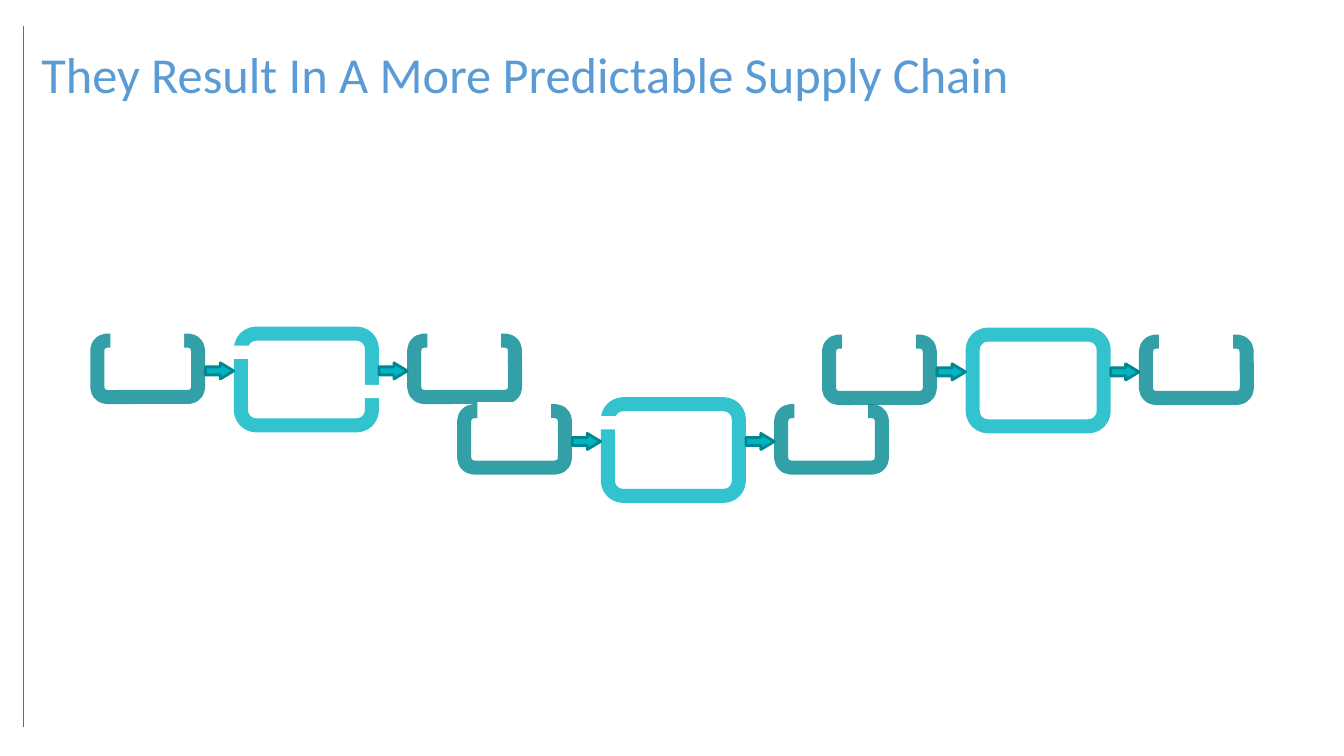
from lxml import etree
from pptx import Presentation
from pptx.dml.color import RGBColor
from pptx.enum.shapes import MSO_CONNECTOR, MSO_SHAPE
from pptx.enum.text import MSO_ANCHOR
from pptx.oxml.ns import qn
from pptx.util import Pt

ROUND = MSO_SHAPE.ROUNDED_RECTANGLE
RECT = MSO_SHAPE.RECTANGLE
ARROW = MSO_SHAPE.RIGHT_ARROW
LINE = MSO_CONNECTOR.STRAIGHT
MIDDLE = MSO_ANCHOR.MIDDLE

WHITE = RGBColor(0xFF, 0xFF, 0xFF)
AQUA = RGBColor(0x00, 0xB4, 0xC2)
TEAL = RGBColor(0x00, 0x88, 0x92)
BLUE = RGBColor(0x5B, 0x9B, 0xD5)
GRAY = RGBColor(0x6B, 0x6B, 0x6B)

deck = Presentation()
deck.slide_width, deck.slide_height = Pt(960), Pt(540)
slide = deck.slides.add_slide(deck.slide_layouts[6])


def add(kind, left, top, width, height, fill=None, edge=None, weight=0):
    shape = slide.shapes.add_shape(kind, Pt(left), Pt(top), Pt(width), Pt(height))
    shape.shadow.inherit = False
    if fill is None:
        shape.fill.background()
    else:
        shape.fill.solid()
        shape.fill.fore_color.rgb = fill
    if edge is None:
        shape.line.fill.background()
    else:
        shape.line.color.rgb = edge
        shape.line.width = Pt(weight)
    return shape


def frame(left, top, width, height, edge):
    shape = add(ROUND, left, top, width, height, edge=edge, weight=10)
    color = shape.line._ln.find(".//" + qn("a:srgbClr"))
    etree.SubElement(color, qn("a:alpha")).set("val", "80000")


# Rule at the left margin
rule = slide.shapes.add_connector(LINE, Pt(16.6), Pt(18.7), Pt(16.6), Pt(519))
rule.line.color.rgb = GRAY
rule.line.width = Pt(0.75)
etree.SubElement(rule._element.spPr, qn("a:effectLst"))

# Chain links: corner of the middle box, and gaps in its sides
links = [
    (434.2, 288.7, [(-24.5, 8.6)]),
    (172.1, 238.3, [(66.2, 36.7), (-24.5, 8.6)]),
    (694.8, 239, []),
]
ENDS = (-102.6, 123.8)
LID = (9.4, -1.5, 52.6, 18.7)

for left, top, gaps in links:
    frame(left, top, 93.6, 65.5, AQUA)
    for dx, dy in gaps:
        add(RECT, left + dx, top + dy, 52.6, 9.4, WHITE)
    for dx in ENDS:
        frame(left + dx, top + 5, 72, 40.3, TEAL)
    for dx in (-25.4, 98.6):
        arrow = add(ARROW, left + dx, top + 20.9, 20.2, 11.5, AQUA, TEAL, 2)
        arrow.adjustments[0] = 0.5
        arrow.adjustments[1] = 0.83
    add(RECT, left + ENDS[1] + LID[0], top + LID[1], *LID[2:], WHITE)

# Openings of the left ends, above all links
for left, top, gaps in links:
    add(RECT, left + ENDS[0] + LID[0], top + LID[1], *LID[2:], WHITE)

# Title
title = slide.shapes.add_textbox(Pt(24.5), Pt(18.7), Pt(786.2), Pt(73.4))
frame_format = {
    "word_wrap": True, "vertical_anchor": MIDDLE,
    "margin_left": Pt(5), "margin_right": Pt(5),
    "margin_top": Pt(5), "margin_bottom": Pt(5),
}
for name, value in frame_format.items():
    setattr(title.text_frame, name, value)
para = title.text_frame.paragraphs[0]
para.text = "They Result In A More Predictable Supply Chain"
para.line_spacing = 0.9
for name, value in {"name": "Calibri", "size": Pt(36)}.items():
    setattr(para.font, name, value)
para.font.color.rgb = BLUE

deck.save("out.pptx")
